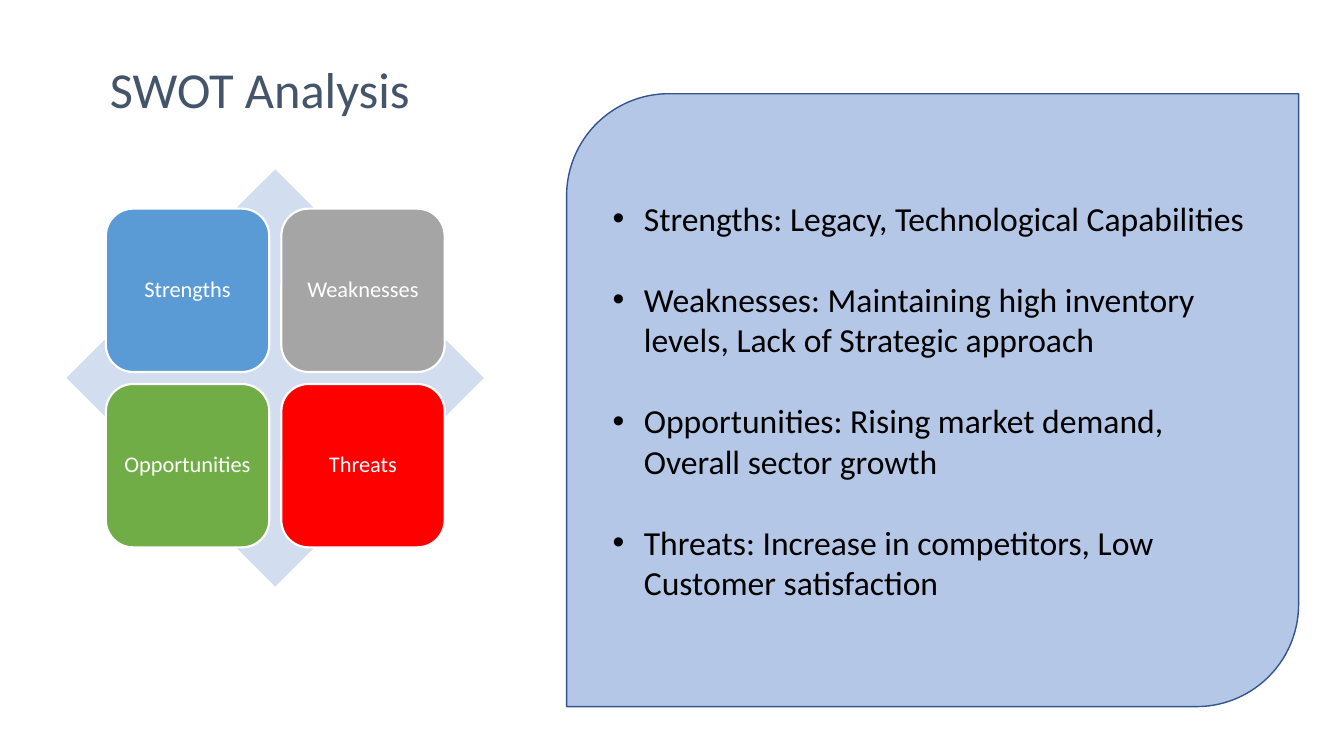
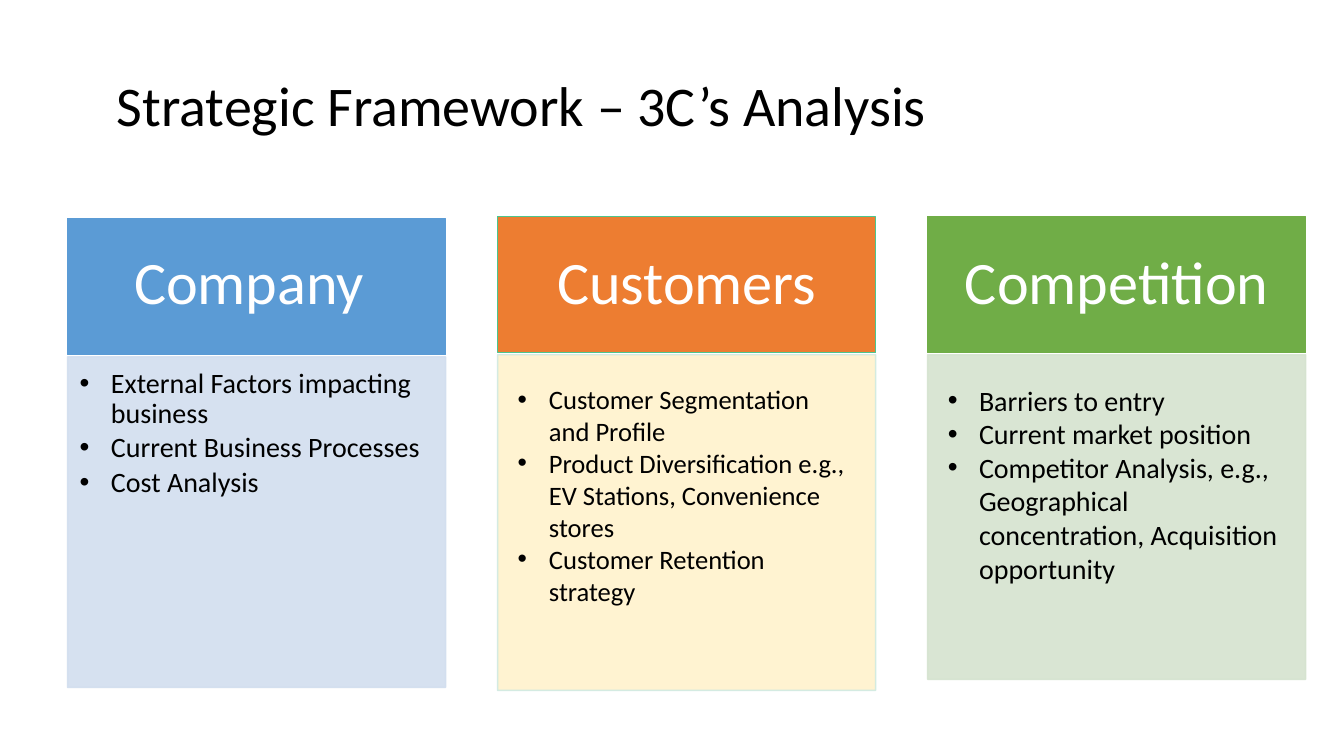
from lxml import etree
from pptx import Presentation
from pptx.dml.color import RGBColor
from pptx.enum import shapes, text
from pptx.oxml import ns
from pptx.util import Inches, Pt

# Shared style
FONT = "Calibri"
WHITE, BLACK = RGBColor(255, 255, 255), RGBColor(0, 0, 0)
SLATE, NAVY = RGBColor(0x44, 0x54, 0x6A), RGBColor(0x32, 0x54, 0x91)
BLUE, PALE_BLUE = RGBColor(0x5B, 0x9B, 0xD5), RGBColor(0xD2, 0xDE, 0xEF)
GREEN, PALE_GREEN = RGBColor(0x70, 0xAD, 0x47), RGBColor(0xD5, 0xE3, 0xCF)
ORANGE, CREAM = RGBColor(0xED, 0x7D, 0x31), RGBColor(0xFF, 0xF2, 0xCC)
TEAL, PALE_TEAL = RGBColor(0x4D, 0xC5, 0x8D), RGBColor(0xD0, 0xEA, 0xE1)
GREY, RED = RGBColor(0xA5, 0xA5, 0xA5), RGBColor(255, 0, 0)
PANEL_BLUE = RGBColor(0xB4, 0xC7, 0xE7)
MSO, ANCHOR, ALIGN = shapes.MSO_SHAPE, text.MSO_ANCHOR, text.PP_ALIGN
INDENT = 0.31

# Content
SWOT = [
    ("Strengths", BLUE, "Legacy, Technological Capabilities"),
    ("Weaknesses", GREY,
     "Maintaining high inventory levels, Lack of Strategic approach"),
    ("Opportunities", GREEN, "Rising market demand, Overall sector growth"),
    ("Threats", RED, "Increase in competitors, Low Customer satisfaction"),
]
CARDS = [
    dict(head="Company", top=2.17, height=3.28, fill=BLUE, line=BLUE,
         pale=PALE_BLUE, pale_line=PALE_BLUE, size=20, spacing=0.9, after=3,
         head_inset=(0.33, 0.19, 0.48, 0.23), inset=(0.12, 0.12, 0.16, 0.17),
         points=["External Factors impacting business",
                 "Current Business Processes", "Cost Analysis"]),
    dict(head="Customers", top=2.15, height=3.33, fill=ORANGE, line=TEAL,
         pale=CREAM, pale_line=PALE_TEAL, size=19, spacing=1, after=0,
         head_inset=(0.33, 0.19, 0.33, 0.19), inset=(0.2, 0.28, 0.22, 0.05),
         points=["Customer Segmentation and Profile",
                 "Product Diversification e.g., EV Stations, Convenience stores",
                 "Customer Retention strategy"]),
    dict(head="Competition", top=2.15, height=3.22, fill=GREEN, line=GREEN,
         pale=PALE_GREEN, pale_line=PALE_GREEN, size=20, spacing=1, after=0,
         head_inset=(0.33, 0.19, 0.33, 0.19), inset=(0.2, 0.28, 0.22, 0.05),
         points=["Barriers to entry", "Current market position",
                 "Competitor Analysis, e.g., Geographical concentration, "
                 "Acquisition opportunity"]),
]


def place(sp, left, top, width, height):
    sp.left, sp.top = Inches(left), Inches(top)
    sp.width, sp.height = Inches(width), Inches(height)


def add_run(p, words, size, color):
    r = p.add_run()
    r.text = words
    r.font.name, r.font.size, r.font.color.rgb = FONT, Pt(size), color


def add_title(s, words, box, size, color, anchor):
    sp = s.shapes.title
    place(sp, *box)
    tf = sp.text_frame
    tf.auto_size, tf.vertical_anchor = text.MSO_AUTO_SIZE.NONE, anchor
    p = tf.paragraphs[0]
    p.alignment, p.line_spacing = ALIGN.LEFT, 0.9
    add_run(p, words, size, color)


def add_box(s, kind, box, fill, line=None, weight=1, alpha=None):
    sp = s.shapes.add_shape(kind, *(Inches(v) for v in box))
    sp.shadow.inherit = False
    sp.fill.solid()
    sp.fill.fore_color.rgb = fill
    if line is None:
        sp.line.fill.background()
    else:
        sp.line.color.rgb, sp.line.width = line, Pt(weight)
    if alpha:
        for clr in sp._element.spPr.iter(ns.qn("a:srgbClr")):
            etree.SubElement(clr, ns.qn("a:alpha"), val=str(alpha * 1000))
    return sp


def set_frame(sp, inset, anchor):
    tf = sp.text_frame
    tf.word_wrap, tf.vertical_anchor = True, anchor
    (tf.margin_left, tf.margin_top,
     tf.margin_right, tf.margin_bottom) = (Inches(v) for v in inset)
    return tf


def add_label(sp, words, size, inset):
    p = set_frame(sp, inset, ANCHOR.MIDDLE).paragraphs[0]
    p.alignment, p.line_spacing = ALIGN.CENTER, 0.9
    add_run(p, words, size, WHITE)


def add_bullets(sp, points, size, inset, anchor, spacing=1, before=0, after=0):
    tf = set_frame(sp, inset, anchor)
    for i, point in enumerate(points):
        p = tf.add_paragraph() if i else tf.paragraphs[0]
        p.alignment, p.line_spacing = ALIGN.LEFT, spacing
        p.space_before, p.space_after = Pt(before if i else 0), Pt(after)
        pPr = p._p.get_or_add_pPr()
        pPr.set("marL", str(Inches(INDENT)))
        pPr.set("indent", str(-Inches(INDENT)))
        etree.SubElement(pPr, ns.qn("a:buFont"), typeface="Arial")
        etree.SubElement(pPr, ns.qn("a:buChar"), char="•")
        add_run(p, point, size, BLACK)


def build_swot(s):
    add_title(s, "SWOT Analysis", (0.99, -0.19, 5.25, 1.43), 36, SLATE,
              ANCHOR.BOTTOM)
    # Two by two tiles over a diamond
    add_box(s, MSO.DIAMOND, (0.66, 1.68, 4.14, 4.14), PALE_BLUE)
    left, top, side, pitch = 1.05, 2.07, 1.62, 1.74
    for i, (name, color, _) in enumerate(SWOT):
        row, col = divmod(i, 2)
        tile = add_box(s, MSO.ROUNDED_RECTANGLE,
                       (left + col * pitch, top + row * pitch, side, side),
                       color, WHITE, 1.5)
        add_label(tile, name, 16, (0.07,) * 4)
    # Findings panel
    panel = add_box(s, MSO.ROUND_2_DIAG_RECTANGLE, (5.62, 0.93, 7.26, 6.08),
                    PANEL_BLUE, NAVY)
    add_bullets(panel, [f"{name}: {finding}" for name, _, finding in SWOT], 24,
                (0.16, 0.05, 0.14, 0.05), ANCHOR.MIDDLE, before=29)


def build_three_cs(s):
    add_title(s, "Strategic Framework – 3C’s Analysis",
              (1.06, 0.45, 11.5, 1.24), 40, BLACK, ANCHOR.MIDDLE)
    # Three cards: header above a pale body
    left, pitch, width, head_height, gap = 0.67, 4.265, 3.75, 1.35, 0.02
    for i, c in enumerate(CARDS):
        x = left + i * pitch
        head = add_box(s, MSO.RECTANGLE, (x, c["top"], width, head_height),
                       c["fill"], c["line"])
        add_label(head, c["head"], 43, c["head_inset"])
        body = add_box(s, MSO.RECTANGLE,
                       (x, c["top"] + head_height + gap, width, c["height"]),
                       c["pale"], c["pale_line"], alpha=90)
        add_bullets(body, c["points"], c["size"], c["inset"], ANCHOR.TOP,
                    spacing=c["spacing"], after=c["after"])


def main():
    prs = Presentation()
    prs.slide_width, prs.slide_height = Inches(13.33), Inches(7.5)
    title_only = prs.slide_layouts[5]
    for build in (build_swot, build_three_cs):
        build(prs.slides.add_slide(title_only))
    prs.save("out.pptx")


if __name__ == "__main__":
    main()
